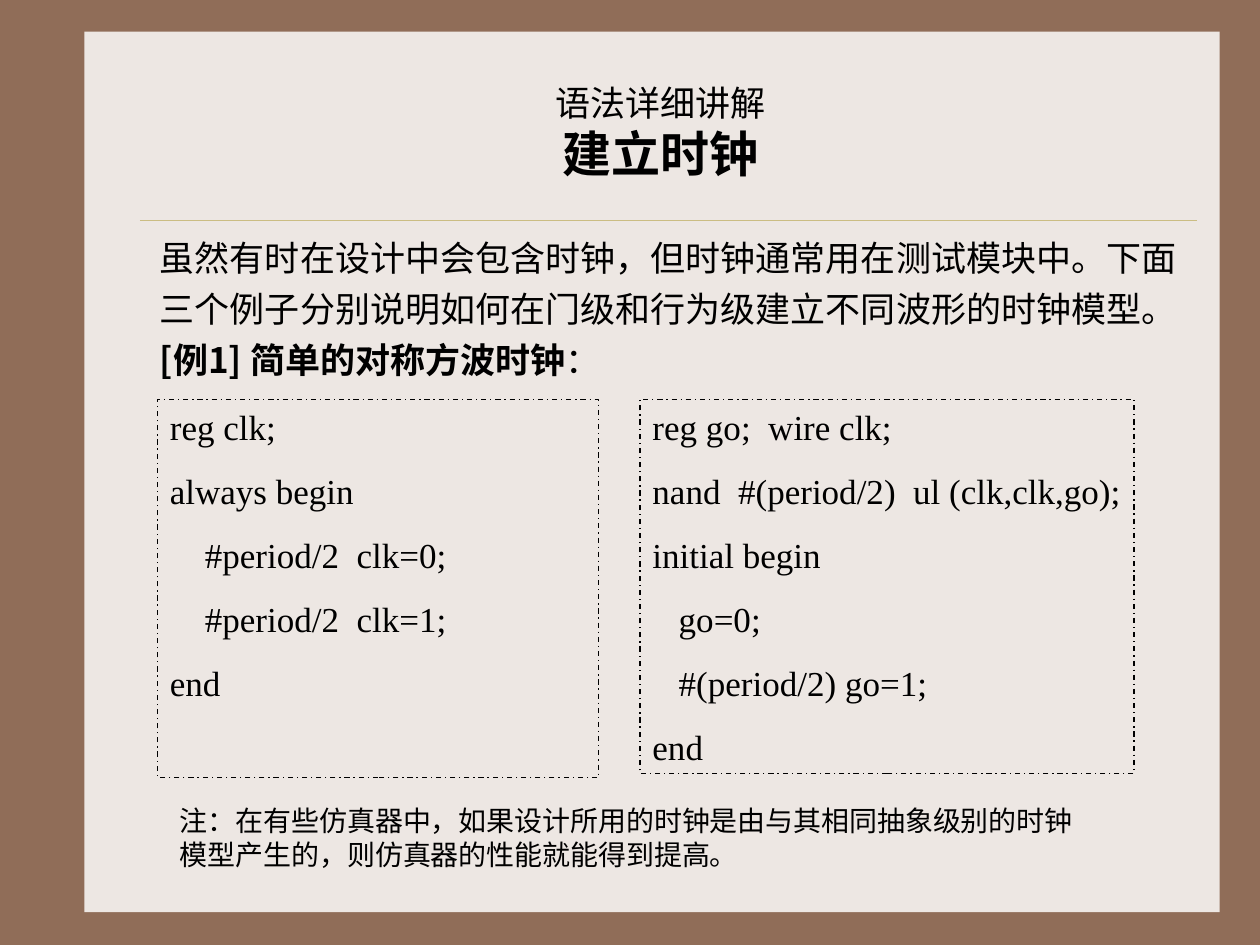
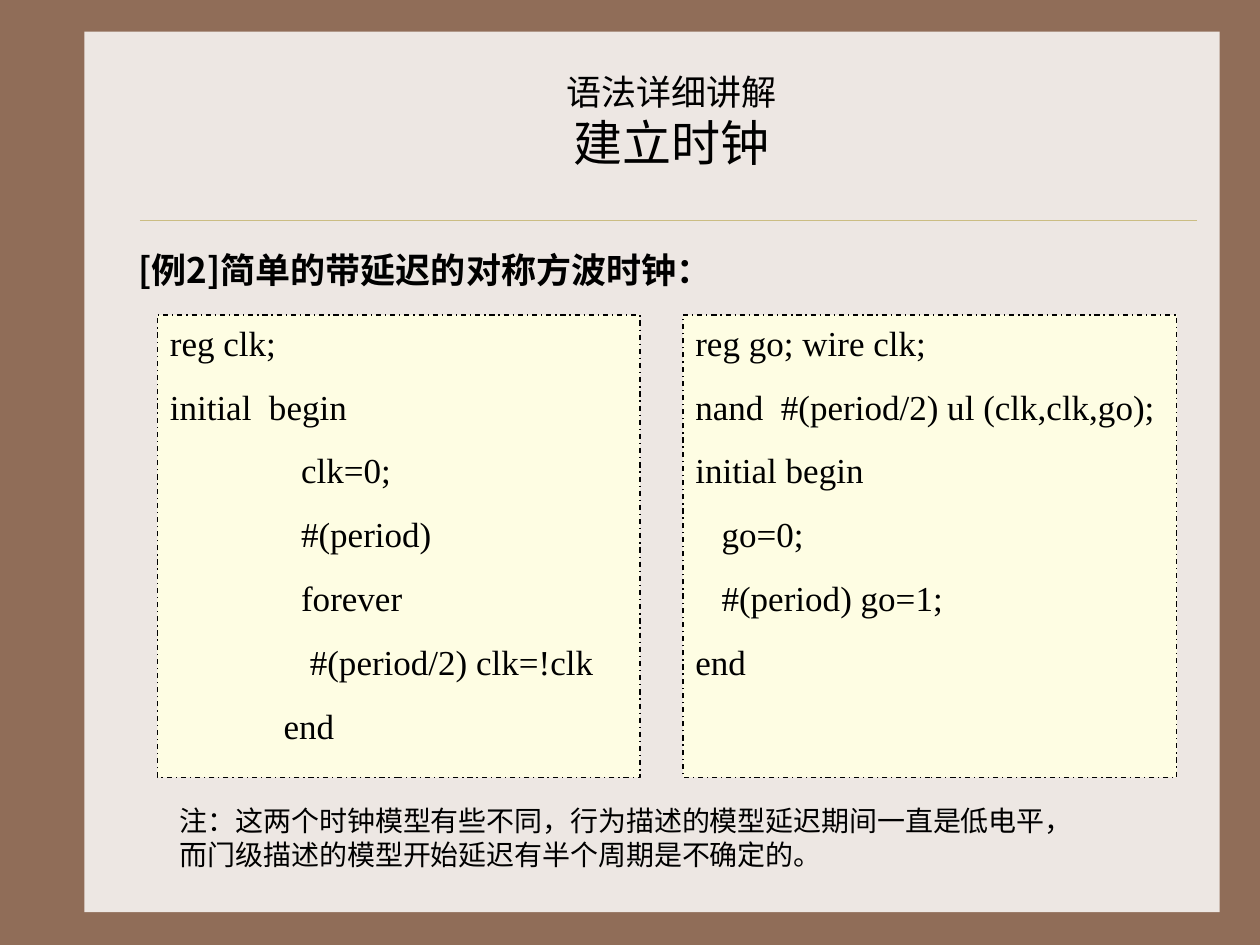
from pptx import Presentation
from pptx.dml.color import RGBColor as RGB
from pptx.enum.dml import MSO_LINE as Dash
from pptx.enum.shapes import MSO_CONNECTOR as Conn, MSO_SHAPE as Shape
from pptx.enum.text import MSO_ANCHOR as Anchor, PP_ALIGN as Align
from pptx.oxml.ns import qn
from pptx.util import Inches, Pt
from lxml import etree

BROWN = RGB(0x90, 0x6D, 0x58)
PAPER = RGB(0xED, 0xE7, 0xE3)
GOLD = RGB(0xCB, 0xBD, 0x83)
CREAM = RGB(0xFE, 0xFD, 0xE3)
BLACK = RGB(0, 0, 0)
SERIF = "Times New Roman"
SANS = "Noto Sans CJK SC"
LEAD = 1.2  # line height per point of text size


class Deck:
    def __init__(self):
        self.prs = Presentation()
        self.prs.slide_width = Inches(10)
        self.prs.slide_height = Inches(7.5)
        self.slide = None

    def page(self):
        """Start a slide with the shared frame and rule."""
        self.slide = self.prs.slides.add_slide(self.prs.slide_layouts[6])
        back = self.slide.background.fill
        back.solid()
        back.fore_color.rgb = BROWN
        self.rect((0.67, 0.25, 9.01, 6.99), PAPER)
        rule = self.slide.shapes.add_connector(
            Conn.STRAIGHT, Inches(1.11), Inches(1.75), Inches(9.5), Inches(1.75))
        rule.line.color.rgb = GOLD
        rule.line.width = Pt(0.25)
        etree.SubElement(rule._element.spPr, qn("a:effectLst"))

    def rect(self, area, fill=None):
        box = self.slide.shapes.add_shape(Shape.RECTANGLE, *map(Inches, area))
        box.shadow.inherit = False
        box.line.fill.background()
        if fill is None:
            box.fill.background()
        else:
            box.fill.solid()
            box.fill.fore_color.rgb = fill
        return box

    def text(self, area):
        frame = self.slide.shapes.add_textbox(*map(Inches, area)).text_frame
        frame.word_wrap = True
        return frame

    def style(self, run, size, font, bold=False):
        run.font.size = Pt(size)
        run.font.name = font
        run.font.bold = bold
        run.font.color.rgb = BLACK
        east = etree.SubElement(run._r.get_or_add_rPr(), qn("a:ea"))
        east.set("typeface", SANS)

    def para(self, frame, parts, size, gap=0, align=Align.LEFT):
        """Add a paragraph of (text, font, bold) parts."""
        first = not frame.text
        para = frame.paragraphs[0] if first else frame.add_paragraph()
        para.alignment = align
        para.line_spacing = Pt(size * LEAD)
        para.space_before = Pt(0 if first else gap)
        for words, font, bold in parts:
            run = para.add_run()
            run.text = words
            self.style(run, size, font, bold)
        return para

    def title(self, area, bold):
        frame = self.text(area)
        frame.vertical_anchor = Anchor.MIDDLE
        self.para(frame, [("语法详细讲解", SANS, False)], 20, align=Align.CENTER)
        self.para(frame, [("建立时钟", SANS, bold)], 28, align=Align.CENTER)

    def body(self, area, lines):
        frame = self.text(area)
        for parts in lines:
            props = self.para(frame, parts, 20, 5)._p.get_or_add_pPr()
            props.set("marL", str(Inches(0.38)))
            props.set("indent", str(Inches(-0.38)))

    def code(self, area, lines, fill=None, wrap=True):
        box = self.rect(area, fill)
        box.line.color.rgb = BLACK
        box.line.width = Pt(0.75)
        box.line.dash_style = Dash.DASH_DOT
        frame = box.text_frame
        frame.word_wrap = wrap
        frame.vertical_anchor = Anchor.TOP
        for line in lines:
            self.para(frame, [(line, SERIF, False)], 20, 12.5, Align.JUSTIFY)

    def note(self, words):
        self.para(self.text((1.33, 6.33, 7.5, 0.64)), [(words, SERIF, False)], 16)


def main():
    deck = Deck()

    # Example 1: plain square wave
    deck.page()
    deck.body((1.17, 1.83, 8.42, 4.17), [
        [("虽然有时在设计中会包含时钟，但时钟通常用在测试模块中。下面", SERIF, False)],
        [("三个例子分别说明如何在门级和行为级建立不同波形的时钟模型。", SERIF, False)],
        [("[例1] 简单的对称方波时钟", SANS, True), ("：", SANS, False)],
    ])
    deck.code((1.25, 3.17, 3.5, 3), [
        "reg clk;",
        "always begin",
        "    #period/2  clk=0;",
        "    #period/2  clk=1;",
        "end",
    ])
    deck.code((5.08, 3.17, 3.92, 2.97), [
        "reg go;  wire clk;",
        "nand  #(period/2)  ul (clk,clk,go);",
        "initial begin",
        "   go=0;",
        "   #(period/2) go=1;",
        "end",
    ])
    deck.note("注：在有些仿真器中，如果设计所用的时钟是由与其相同抽象级别的时钟"
              "模型产生的，则仿真器的性能就能得到提高。")
    deck.title((1.08, 0.42, 8.33, 1.25), True)

    # Example 2: square wave with a delay
    deck.page()
    deck.body((1, 1.92, 8.25, 4.5), [
        [("[例2]", SANS, True), ("简单的带延迟的对称方波时钟：", SERIF, True)],
    ])
    deck.title((1.57, 0.42, 7.52, 1.08), False)
    deck.code((1.25, 2.5, 3.83, 3.67), [
        "reg clk;",
        "initial  begin",
        "               clk=0;",
        "               #(period)",
        "               forever",
        "                #(period/2) clk=!clk",
        "             end",
    ], CREAM, False)
    deck.code((5.42, 2.5, 3.92, 3.67), [
        "reg go; wire clk;",
        "nand  #(period/2) ul (clk,clk,go);",
        "initial begin",
        "   go=0;",
        "   #(period) go=1;",
        "end",
    ], CREAM, False)
    deck.note("注：这两个时钟模型有些不同，行为描述的模型延迟期间一直是低电平，"
              "而门级描述的模型开始延迟有半个周期是不确定的。")

    deck.prs.save("out.pptx")


if __name__ == "__main__":
    main()
